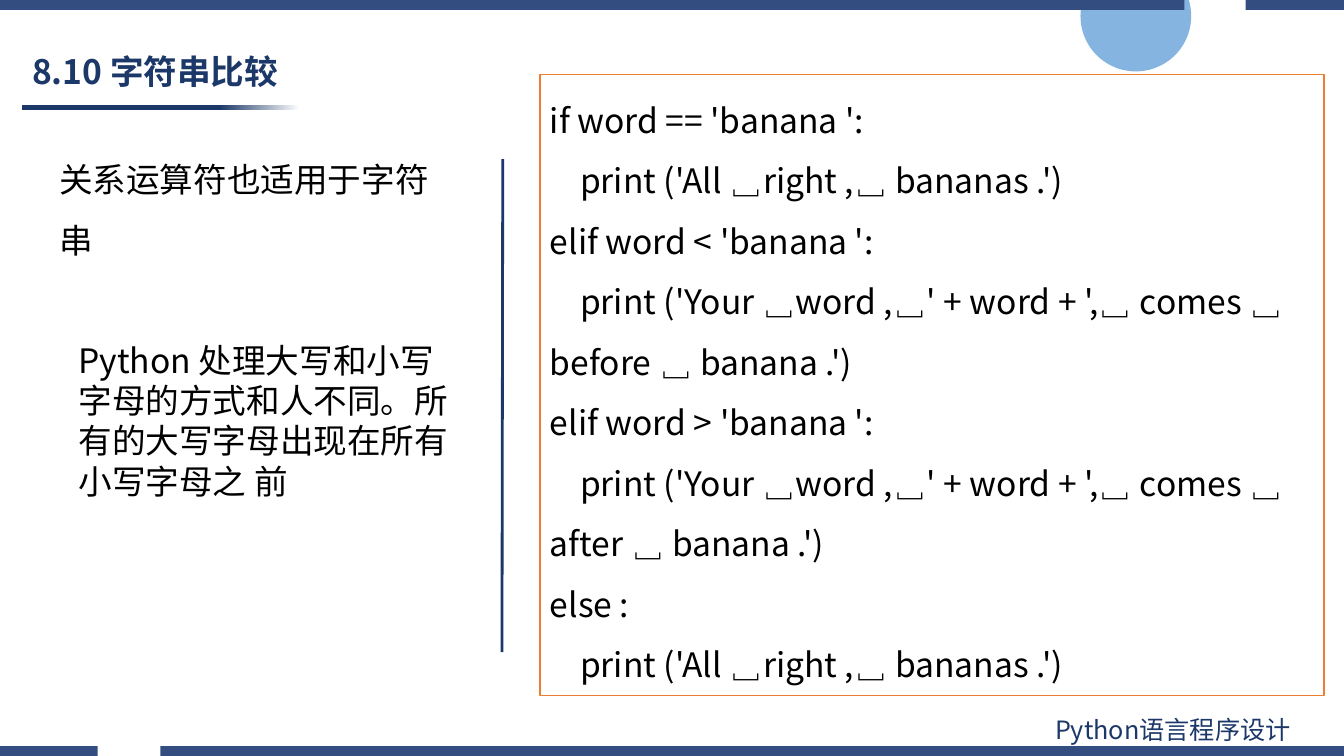
"""Build the slide on comparing strings."""
from dataclasses import dataclass

from lxml.etree import SubElement
from pptx import Presentation
from pptx.dml.color import RGBColor
from pptx.enum.shapes import MSO_CONNECTOR, MSO_SHAPE
from pptx.enum.text import MSO_ANCHOR, PP_ALIGN
from pptx.oxml.ns import qn
from pptx.shapes.autoshape import Shape
from pptx.slide import Slide
from pptx.util import Cm, Pt


@dataclass(frozen=True)
class Theme:
    """Colours, font and type sizes."""
    navy: RGBColor = RGBColor(0x1B, 0x38, 0x68)
    band: RGBColor = RGBColor(0x33, 0x4D, 0x80)
    blue: RGBColor = RGBColor(0x5B, 0x9B, 0xD5)
    orange: RGBColor = RGBColor(0xED, 0x7D, 0x31)
    white: RGBColor = RGBColor(0xFF, 0xFF, 0xFF)
    black: RGBColor = RGBColor(0, 0, 0)
    font: str = "Noto Sans CJK SC"
    body: int = 24
    small: int = 18


THEME = Theme()
WIDE, HIGH = 33.87, 19.05
BAND = 0.25


@dataclass(frozen=True)
class Box:
    """A place on the slide in centimetres."""
    left: float
    top: float
    width: float
    height: float

    def sides(self) -> tuple[Cm, Cm, Cm, Cm]:
        """Give the four lengths."""
        return Cm(self.left), Cm(self.top), Cm(self.width), Cm(self.height)


@dataclass(frozen=True)
class Band:
    """A broken stripe along one edge."""
    top: float
    spans: tuple[tuple[float, float], ...]


@dataclass(frozen=True)
class Label:
    """A text box and its look."""
    text: str
    box: Box
    color: RGBColor = THEME.black
    size: int = THEME.body
    bold: bool = False
    space: float = 1.0
    anchor: MSO_ANCHOR = MSO_ANCHOR.TOP


@dataclass(frozen=True)
class Code:
    """A line of code and its depth."""
    text: str
    depth: int = 0


BANDS = (
    Band(HIGH - BAND, ((4.04, WIDE), (0, 2.46))),
    Band(0, ((0, 29.85), (31.39, WIDE))),
)
LABELS = (
    Label("Python语言程序设计", Box(26.34, 17.88, 7.47, 1.02), THEME.navy, THEME.small),
    Label("8.10 字符串比较", Box(0.56, 1.14, 15.34, 1.42), THEME.navy,
          bold=True, space=0.9, anchor=MSO_ANCHOR.MIDDLE),
    Label("关系运算符也适用于字符串", Box(1.24, 3.38, 10.59, 3.18), space=1.5),
    Label("Python 处理大写和小写字母的方式和人不同。所有的大写字母出现在所有小写字母之 前",
          Box(1.73, 8.43, 10.13, 4.37)),
)
CODE = (
    Code("if word == 'banana ':"),
    Code("print ('All ␣right ,␣ bananas .')", 1),
    Code("elif word < 'banana ':"),
    Code("print ('Your ␣word ,␣' + word + ',␣ comes ␣ before ␣ banana .')", 1),
    Code("elif word > 'banana ':"),
    Code("print ('Your ␣word ,␣' + word + ',␣ comes ␣ after ␣ banana .')", 1),
    Code("else :"),
    Code("print ('All ␣right ,␣ bananas .')", 1),
)


def style(shape: Shape, color: RGBColor, size: int, space: float, bold: bool = False) -> None:
    """Format every run in a shape."""
    shape.text_frame.word_wrap = True
    for para in shape.text_frame.paragraphs:
        para.alignment = PP_ALIGN.LEFT
        para.line_spacing = space
        for run in para.runs:
            font = run.font
            font.name, font.size, font.bold = THEME.font, Pt(size), bold
            font.color.rgb = color
            SubElement(font._element, qn("a:ea")).set("typeface", THEME.font)


def paint(shape: Shape, color: RGBColor) -> None:
    """Give a shape a flat fill with no line or shadow."""
    shape.shadow.inherit = False
    shape.fill.solid()
    shape.fill.fore_color.rgb = color
    shape.line.fill.background()


def draw_disc(slide: Slide) -> None:
    """Draw the clear blue disc."""
    disc = slide.shapes.add_shape(MSO_SHAPE.OVAL, *Box(27.23, -0.99, 2.79, 2.79).sides())
    paint(disc, THEME.blue)
    tint = disc._element.spPr.find(f"{qn('a:solidFill')}/{qn('a:srgbClr')}")
    SubElement(tint, qn("a:alpha")).set("val", "75000")


def draw_rule(slide: Slide) -> None:
    """Draw the fading rule under the title."""
    rule = slide.shapes.add_shape(MSO_SHAPE.RECTANGLE, *Box(0.55, 2.65, 7.01, 0.13).sides())
    paint(rule, THEME.navy)
    rule.fill.gradient()
    rule.fill.gradient_angle = 0
    looks = ((0.71, THEME.navy), (1.0, THEME.white))
    for stop, (place, color) in zip(rule.fill.gradient_stops, looks):
        stop.position = place
        stop.color.rgb = color


def draw_band(slide: Slide, band: Band) -> None:
    """Draw one broken stripe."""
    top, base = Cm(band.top), Cm(band.top + BAND)
    form = None
    for start, end in band.spans:
        left, right = Cm(start), Cm(end)
        if form is None:
            form = slide.shapes.build_freeform(left, top)
        else:
            form.move_to(left, top)
        form.add_line_segments([(right, top), (right, base), (left, base)], close=True)
    paint(form.convert_to_shape(), THEME.band)


def draw_label(slide: Slide, label: Label) -> None:
    """Draw one text box."""
    shape = slide.shapes.add_textbox(*label.box.sides())
    shape.text_frame.text = label.text
    shape.text_frame.vertical_anchor = label.anchor
    style(shape, label.color, label.size, label.space, label.bold)


def draw_code(slide: Slide) -> None:
    """Draw the framed code."""
    frame = slide.shapes.add_shape(MSO_SHAPE.RECTANGLE, *Box(13.61, 1.88, 19.76, 15.65).sides())
    paint(frame, THEME.white)
    frame.line.color.rgb = THEME.orange
    frame.line.width = Pt(1)
    text = frame.text_frame
    text.text = "\n".join(line.text for line in CODE)
    text.vertical_anchor = MSO_ANCHOR.TOP
    style(frame, THEME.black, THEME.body, 1.5)
    for para, line in zip(text.paragraphs, CODE):
        props = para._p.get_or_add_pPr()
        props.set("marL", "0")
        props.set("indent", str(Cm(0.76 * line.depth)))


def draw_split(slide: Slide) -> None:
    """Draw the line between notes and code."""
    split = slide.shapes.add_connector(
        MSO_CONNECTOR.STRAIGHT, Cm(12.67), Cm(4.01), Cm(12.65), Cm(16.43))
    split.line.color.rgb = THEME.navy
    split.line.width = Pt(2)
    SubElement(split._element.spPr, qn("a:effectLst"))


def main() -> None:
    """Build and save the slide."""
    deck = Presentation()
    deck.slide_width, deck.slide_height = Cm(WIDE), Cm(HIGH)
    slide = deck.slides.add_slide(deck.slide_layouts[6])
    draw_disc(slide)
    draw_rule(slide)
    for band in BANDS:
        draw_band(slide, band)
    draw_code(slide)
    draw_split(slide)
    for label in LABELS:
        draw_label(slide, label)
    deck.save("out.pptx")


if __name__ == "__main__":
    main()
